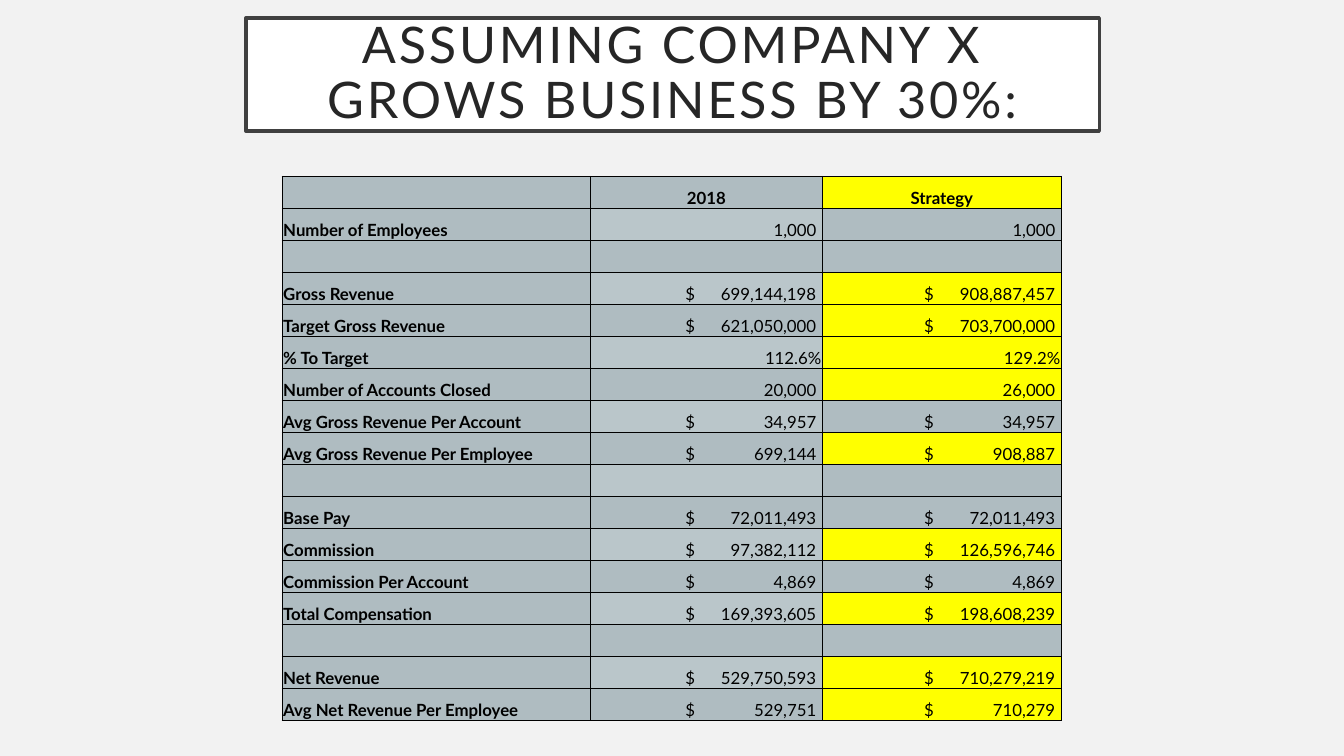
import pptx
import pptx.util
import pptx.dml.color
import pptx.enum.shapes
import pptx.enum.text
import pptx.oxml.ns
from lxml import etree

RGBColor = pptx.dml.color.RGBColor
ALIGN = pptx.enum.text.PP_ALIGN
ANCHOR = pptx.enum.text.MSO_ANCHOR
qn = pptx.oxml.ns.qn

PAPER = RGBColor(0xF2, 0xF2, 0xF2)
WHITE = RGBColor(0xFF, 0xFF, 0xFF)
FRAME = RGBColor(0x40, 0x40, 0x40)
INK = RGBColor(0x26, 0x26, 0x26)
BLACK = RGBColor(0, 0, 0)
STEEL = RGBColor(0xAF, 0xBC, 0xC1)
MIST = RGBColor(0xBA, 0xC6, 0xCA)
YELLOW = RGBColor(0xFF, 0xFF, 0)

# Label, 2018 value, strategy value, strategy cell highlighted
ROWS = [
    ("", "2018", "Strategy", True),
    ("Number of Employees", "1,000", "1,000", False),
    ("", "", "", False),
    ("Gross Revenue", "$699,144,198", "$908,887,457", True),
    ("Target Gross Revenue", "$621,050,000", "$703,700,000", True),
    ("% To Target", "112.6%", "129.2%", True),
    ("Number of Accounts Closed", "20,000", "26,000", True),
    ("Avg Gross Revenue Per Account", "$34,957", "$34,957", False),
    ("Avg Gross Revenue Per Employee", "$699,144", "$908,887", True),
    ("", "", "", False),
    ("Base Pay", "$72,011,493", "$72,011,493", False),
    ("Commission", "$97,382,112", "$126,596,746", True),
    ("Commission Per Account", "$4,869", "$4,869", False),
    ("Total Compensation", "$169,393,605", "$198,608,239", True),
    ("", "", "", False),
    ("Net Revenue", "$529,750,593", "$710,279,219", True),
    ("Avg Net Revenue Per Employee", "$529,751", "$710,279", True),
]
COLS = (22.92, 17.27, 17.78)


class Deck:
    """Holds the style and the current slide; lengths are percent of the slide."""

    font = "Lato"
    inset = pptx.util.Inches(0.01)
    pad = pptx.util.Inches(0.06)
    sign = pptx.util.Inches(1.36)

    def __init__(self):
        """Open a deck with one blank slide."""
        self.file = pptx.Presentation()
        self.file.slide_width = pptx.util.Inches(13.33)
        self.file.slide_height = pptx.util.Inches(7.5)
        self.slide = self.file.slides.add_slide(self.file.slide_layouts[6])
        fill = self.slide.background.fill
        fill.solid()
        fill.fore_color.rgb = PAPER

    def wide(self, part):
        """Turn a percent of the width into a length."""
        return int(self.file.slide_width * part / 100)

    def high(self, part):
        """Turn a percent of the height into a length."""
        return int(self.file.slide_height * part / 100)

    def box(self, x, y, w, h):
        """Turn four percents into a place and a size."""
        return self.wide(x), self.high(y), self.wide(w), self.high(h)

    def style(self, par, size, color, bold=False):
        """Format every run of a paragraph."""
        for run in par.runs:
            run.font.name = self.font
            run.font.size = pptx.util.Pt(size)
            run.font.color.rgb = color
            run.font.bold = bold

    def title(self, text, *place):
        """Draw the framed title."""
        shape = self.slide.shapes.add_shape(
            pptx.enum.shapes.MSO_SHAPE.RECTANGLE, *self.box(*place))
        shape.shadow.inherit = False
        shape.fill.solid()
        shape.fill.fore_color.rgb = WHITE
        shape.line.color.rgb = FRAME
        shape.line.width = pptx.util.Pt(2.5)
        frame = shape.text_frame
        frame.word_wrap = True
        frame.vertical_anchor = ANCHOR.MIDDLE
        frame.margin_left = frame.margin_right = pptx.util.Inches(0.2)
        frame.margin_top = frame.margin_bottom = pptx.util.Inches(0.2)
        frame.text = text
        par = frame.paragraphs[0]
        par.alignment = ALIGN.CENTER
        par.line_spacing = 0.9
        self.style(par, 36, INK)
        par.runs[0].font._element.set("spc", "200")

    def edge(self, cell):
        """Draw a thin black border on all sides of a cell."""
        props = cell._tc.get_or_add_tcPr()
        for side in ("a:lnL", "a:lnR", "a:lnT", "a:lnB"):
            line = etree.SubElement(props, qn(side), w=str(pptx.util.Pt(1)))
            fill = etree.SubElement(line, qn("a:solidFill"))
            etree.SubElement(fill, qn("a:srgbClr"), val=str(BLACK))

    def tabs(self, par, width):
        """Set a stop for the dollar sign and a right stop for the amount."""
        stops = etree.SubElement(par._p.get_or_add_pPr(), qn("a:tabLst"))
        for back, kind in ((self.sign, "l"), (self.pad, "r")):
            place = str(width - back - self.inset)
            etree.SubElement(stops, qn("a:tab"), pos=place, algn=kind)

    def cell(self, cell, text, color, width, align, bold):
        """Fill one cell; dollar amounts are set on tab stops."""
        self.edge(cell)
        cell.fill.solid()
        cell.fill.fore_color.rgb = color
        cell.vertical_anchor = ANCHOR.BOTTOM
        cell.margin_left = cell.margin_right = cell.margin_top = self.inset
        cell.margin_bottom = 0
        par = cell.text_frame.paragraphs[0]
        if text.startswith("$"):
            par.text = "\t$\t" + text[1:]
            par.alignment = ALIGN.LEFT
            self.tabs(par, width)
        else:
            par.text = text
            par.alignment = align
            if align == ALIGN.RIGHT and not text.endswith("%"):
                cell.margin_right = self.pad
        self.style(par, 12, BLACK, bold)

    def table(self, rows, cols, x, y, h):
        """Draw the table, with a bold header row and label column."""
        shape = self.slide.shapes.add_table(
            len(rows), len(cols), *self.box(x, y, sum(cols), h))
        grid = shape.table
        for col, part in zip(grid.columns, cols):
            col.width = self.wide(part)
        for r, (*texts, marked) in enumerate(rows):
            grid.rows[r].height = self.high(h / len(rows))
            tints = (STEEL, MIST if r % 2 else STEEL,
                     YELLOW if marked else STEEL)
            for c, (text, tint) in enumerate(zip(texts, tints)):
                align = (ALIGN.LEFT if c == 0 else
                         ALIGN.CENTER if r == 0 else ALIGN.RIGHT)
                self.cell(grid.cell(r, c), text, tint, grid.columns[c].width,
                          align, r == 0 or c == 0)


deck = Deck()
deck.title("ASSUMING COMPANY X GROWS BUSINESS BY 30%:", 18.3, 2.4, 63.5, 14.93)
deck.table(ROWS, COLS, 21, 23.33, 72)
deck.file.save("out.pptx")
